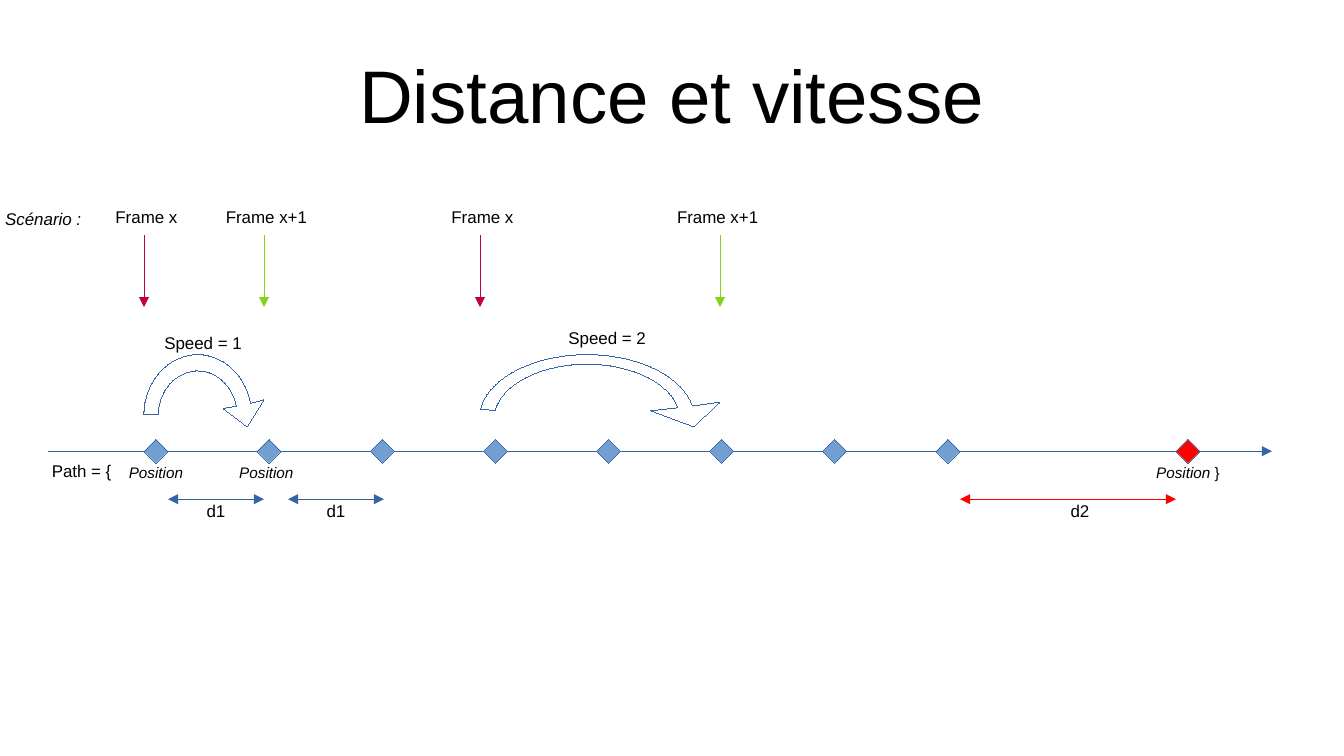
"""Build the slide on distance and speed along a path."""
from dataclasses import dataclass
from math import cos, radians, sin

from lxml.etree import SubElement
from pptx import Presentation
from pptx.dml.color import RGBColor
from pptx.dml.line import LineFormat
from pptx.enum.shapes import MSO_CONNECTOR, MSO_SHAPE
from pptx.enum.text import MSO_ANCHOR, PP_ALIGN
from pptx.oxml.ns import qn
from pptx.shapes.autoshape import Shape
from pptx.slide import Slide
from pptx.util import Cm, Pt

BLACK = RGBColor(0x00, 0x00, 0x00)
WHITE = RGBColor(0xFF, 0xFF, 0xFF)
BLUE = RGBColor(0x34, 0x65, 0xA4)
LIGHT_BLUE = RGBColor(0x72, 0x9F, 0xCF)
RED = RGBColor(0xFF, 0x00, 0x00)
CRIMSON = RGBColor(0xBF, 0x00, 0x41)
GREEN = RGBColor(0x81, 0xD4, 0x1A)

AXIS_Y = 9.4
DISTANCE_Y = 10.4
POSITION_Y = 9.6
FRAME_LABEL_Y = 4.27
FRAME_TOP, FRAME_BOTTOM = 4.9, 6.4
DIAMOND_SIZE = 0.5
DIAMOND_COUNT = 8
FIRST_DIAMOND, EIGHTH_DIAMOND, LAST_DIAMOND = 3.0, 19.5, 24.5
DIAMOND_STEP = (EIGHTH_DIAMOND - FIRST_DIAMOND) / (DIAMOND_COUNT - 1)
LABEL_WIDTH, LABEL_HEIGHT = 1.8, 0.5
JUMP_END_ANGLE = 169


@dataclass(frozen=True)
class Distance:
    """A measured gap between two positions."""
    text: str
    start: float
    end: float
    label_left: float
    color: RGBColor


@dataclass(frozen=True)
class Frame:
    """A frame label with its downward arrow."""
    text: str
    arrow_x: float
    label_left: float
    color: RGBColor


@dataclass(frozen=True)
class Jump:
    """A curved arrow: centre, radii, start angle and head corners."""
    center: tuple[float, float]
    outer: tuple[float, float]
    inner: tuple[float, float]
    start_angle: float
    head: tuple[tuple[float, float], ...]


@dataclass(frozen=True)
class Label:
    """A short text with its place and format."""
    text: str
    left: float
    top: float
    size: float = 10
    italic: bool = False


DISTANCES = (
    Distance("d1", 3.5, 5.5, 4.0, BLUE),
    Distance("d1", 6.0, 8.0, 6.5, BLUE),
    Distance("d2", 20.0, 24.5, 22.0, RED),
)
FRAMES = (
    Frame("Frame x", 3.0, 2.15, CRIMSON),
    Frame("Frame x", 10.0, 9.15, CRIMSON),
    Frame("Frame x+1", 5.5, 4.65, GREEN),
    Frame("Frame x+1", 15.0, 14.05, GREEN),
)
JUMPS = (
    Jump((4.12, 8.64), (1.12, 1.25), (0.82, 0.91), 0,
         ((5.5, 8.33), (5.15, 8.89), (4.65, 8.51))),
    Jump((12.23, 8.71), (2.24, 1.32), (1.93, 1.12), 8,
         ((15.0, 8.38), (14.45, 8.89), (13.56, 8.56))),
)
LABELS = (
    Label("Path = {", 0.8, 9.55),
    Label("Position", 2.35, POSITION_Y, 9, True),
    Label("Position", 4.65, POSITION_Y, 9, True),
    Label("Speed = 1", 3.33, 6.9),
    Label("Speed = 2", 11.75, 6.78),
    Label("Scénario :", 0, 4.3, italic=True),
)


def add_text(slide: Slide, text: str, left: float, top: float, *,
             width: float = LABEL_WIDTH, height: float = LABEL_HEIGHT,
             size: float = 10, italic: bool = False, wrap: bool = False,
             upright_tail: str = "") -> None:
    """Add a centred text box, with an optional upright ending."""
    box = slide.shapes.add_textbox(Cm(left), Cm(top), Cm(width), Cm(height))
    frame = box.text_frame
    frame.word_wrap = wrap
    frame.vertical_anchor = MSO_ANCHOR.MIDDLE
    frame.margin_left = frame.margin_right = 0
    frame.margin_top = frame.margin_bottom = 0
    paragraph = frame.paragraphs[0]
    paragraph.alignment = PP_ALIGN.CENTER
    for content, slanted in ((text, italic), (upright_tail, False)):
        if content:
            run = paragraph.add_run()
            run.text = content
            run.font.name = "Arial"
            run.font.size = Pt(size)
            run.font.italic = slanted
            run.font.color.rgb = BLACK


def set_hairline(line: LineFormat, color: RGBColor) -> None:
    """Colour a line and write its zero width explicitly."""
    line.color.rgb = color
    line._get_or_add_ln().set("w", "0")


def add_arrow(slide: Slide, start: tuple[float, float], end: tuple[float, float],
              color: RGBColor, both_ends: bool = False) -> None:
    """Draw a hairline arrow with a head at one or both ends."""
    connector = slide.shapes.add_connector(
        MSO_CONNECTOR.STRAIGHT, *(Cm(value) for value in (*start, *end)))
    set_hairline(connector.line, color)
    line = connector.line._get_or_add_ln()
    for tag in ("a:headEnd", "a:tailEnd") if both_ends else ("a:tailEnd",):
        SubElement(line, qn(tag), type="triangle")
    SubElement(connector._element.spPr, qn("a:effectLst"))


def paint(shape: Shape, fill: RGBColor) -> None:
    """Give a shape its fill and a blue hairline."""
    shape.shadow.inherit = False
    shape.fill.solid()
    shape.fill.fore_color.rgb = fill
    set_hairline(shape.line, BLUE)


def add_diamond(slide: Slide, left: float, fill: RGBColor) -> None:
    """Mark a position on the axis."""
    size = Cm(DIAMOND_SIZE)
    diamond = slide.shapes.add_shape(
        MSO_SHAPE.DIAMOND, Cm(left), Cm(AXIS_Y - DIAMOND_SIZE / 2), size, size)
    paint(diamond, fill)


def arc_points(jump: Jump, radii: tuple[float, float]) -> list[tuple[float, float]]:
    """List points along one edge of a jump, from left to right."""
    steps = 60
    span = JUMP_END_ANGLE - jump.start_angle
    angles = [radians(jump.start_angle + span * step / steps) for step in range(steps + 1)]
    return [(jump.center[0] - radii[0] * cos(angle),
             jump.center[1] - radii[1] * sin(angle)) for angle in angles]


def add_jump(slide: Slide, jump: Jump) -> None:
    """Draw a curved block arrow."""
    outline = [*arc_points(jump, jump.outer), *jump.head,
               *reversed(arc_points(jump, jump.inner))]
    points = [(Cm(x), Cm(y)) for x, y in outline]
    builder = slide.shapes.build_freeform(*points[0])
    builder.add_line_segments(points[1:], close=True)
    paint(builder.convert_to_shape(), WHITE)


def main() -> None:
    """Create and save the presentation."""
    presentation = Presentation()
    presentation.slide_width, presentation.slide_height = Cm(28), Cm(15.75)
    slide = presentation.slides.add_slide(presentation.slide_layouts[6])
    add_text(slide, "Distance et vitesse", 1.4, 0.63,
             width=25.2, height=2.63, size=44, wrap=True)
    add_arrow(slide, (1.0, AXIS_Y), (26.5, AXIS_Y), BLUE)
    for index in range(DIAMOND_COUNT):
        add_diamond(slide, FIRST_DIAMOND + index * DIAMOND_STEP, LIGHT_BLUE)
    add_diamond(slide, LAST_DIAMOND, RED)
    for distance in DISTANCES:
        add_arrow(slide, (distance.start, DISTANCE_Y), (distance.end, DISTANCE_Y),
                  distance.color, both_ends=True)
        add_text(slide, distance.text, distance.label_left, DISTANCE_Y, width=1.0)
    for jump in JUMPS:
        add_jump(slide, jump)
    for frame in FRAMES:
        add_arrow(slide, (frame.arrow_x, FRAME_TOP), (frame.arrow_x, FRAME_BOTTOM), frame.color)
        add_text(slide, frame.text, frame.label_left, FRAME_LABEL_Y)
    for label in LABELS:
        add_text(slide, label.text, label.left, label.top, size=label.size, italic=label.italic)
    add_text(slide, "Position", 23.85, POSITION_Y, size=9, italic=True, upright_tail=" }")
    presentation.save("out.pptx")


if __name__ == "__main__":
    main()
